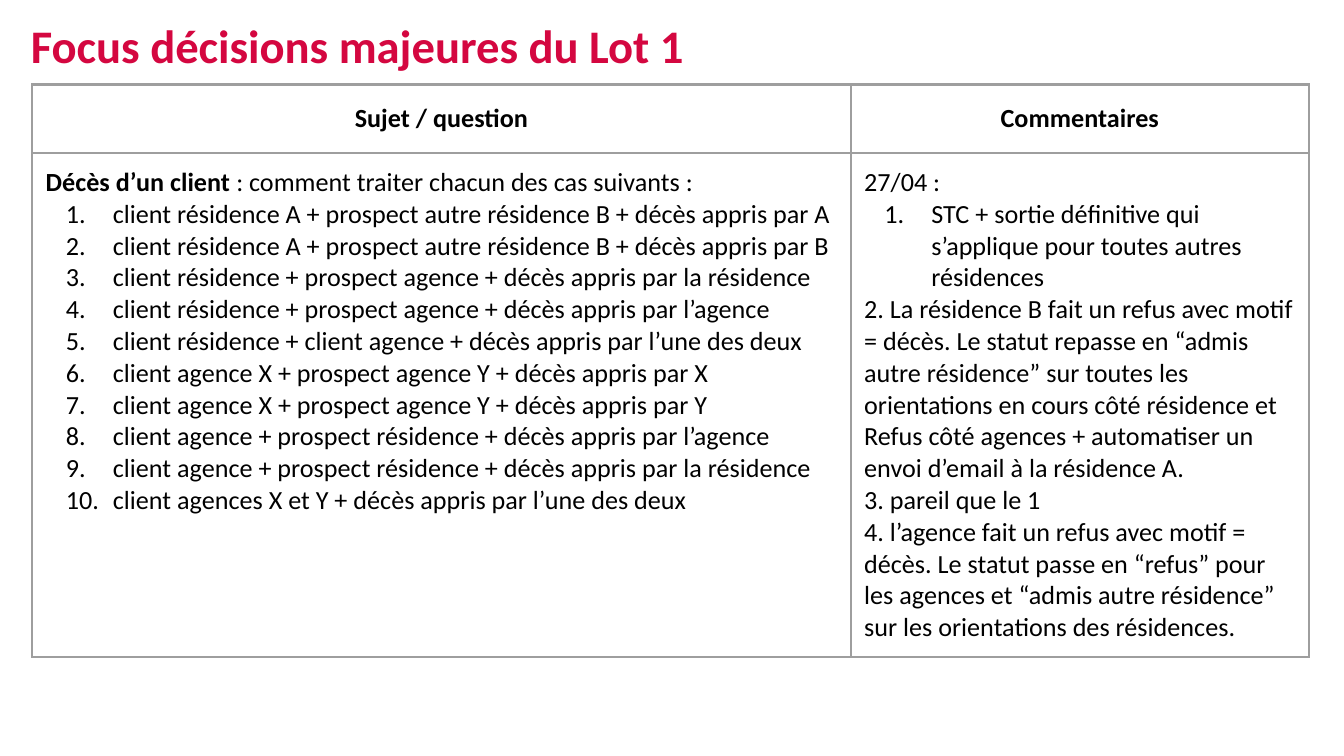
from dataclasses import dataclass
from typing import Any

from lxml.etree import SubElement as Sub
from pptx import Presentation
from pptx.dml.color import RGBColor as Color
from pptx.enum.text import MSO_ANCHOR as Anchor, MSO_AUTO_SIZE as Fit, PP_ALIGN as Align
from pptx.oxml import parse_xml
from pptx.oxml.ns import nsdecls, qn
from pptx.util import Inches, Pt


@dataclass(frozen=True)
class Theme:
    """Colours, font and type sizes of the slide."""
    face: str = "Calibri"
    red: str = "D40740"
    ink: str = "000000"
    rule: str = "9E9E9E"
    head: int = 25
    body: int = 14
    line: float = 1.5


@dataclass(frozen=True)
class Line:
    """One paragraph: a bold lead, plain text and an optional number."""
    text: str = ""
    lead: str = ""
    listed: bool = False


@dataclass(frozen=True)
class Column:
    """A table column with its header and body lines."""
    name: str
    width: float
    lines: tuple[Line, ...]


THEME = Theme()
WIDE = 10
PAD = ("margin_left", "margin_right", "margin_top", "margin_bottom")
HEIGHTS = (0.51, 3.75)
CASES = (
    "client résidence A + prospect autre résidence B + décès appris par A",
    "client résidence A + prospect autre résidence B + décès appris par B",
    "client résidence + prospect agence + décès appris par la résidence",
    "client résidence + prospect agence + décès appris par l’agence",
    "client résidence + client agence + décès appris par l’une des deux",
    "client agence X + prospect agence Y + décès appris par X",
    "client agence X + prospect agence Y + décès appris par Y",
    "client agence + prospect résidence + décès appris par l’agence",
    "client agence + prospect résidence + décès appris par la résidence",
    "client agences X et Y + décès appris par l’une des deux",
)
NOTES = (
    Line("27/04 :"),
    Line("STC + sortie définitive qui s’applique pour toutes autres résidences", listed=True),
    Line("2. La résidence B fait un refus avec motif = décès. Le statut repasse en "
         "“admis autre résidence” sur toutes les orientations en cours côté résidence "
         "et Refus côté agences + automatiser un envoi d’email à la résidence A."),
    Line("3. pareil que le 1"),
    Line("4. l’agence fait un refus avec motif = décès. Le statut passe en “refus” pour "
         "les agences et “admis autre résidence” sur les orientations des résidences."),
)
TOPIC = Line(": comment traiter chacun des cas suivants :", "Décès d’un client ")
COLUMNS = (
    Column("Sujet / question", 6.09, (TOPIC, *(Line(case, listed=True) for case in CASES))),
    Column("Commentaires", 3.41, NOTES),
)


def apply(item: Any, form: dict[str, Any]) -> None:
    """Set each attribute named in a format."""
    for key, value in form.items():
        setattr(item, key, value)


def write(para: Any, text: str, size: int, tint: str, bold: bool) -> None:
    """Add a styled run to a paragraph."""
    run = para.add_run()
    run.text = text
    apply(run.font, {"name": THEME.face, "size": Pt(size), "bold": bold})
    run.font.color.rgb = Color.from_string(tint)


def number(para: Any) -> None:
    """Give a paragraph a hanging automatic number."""
    props = para._p.get_or_add_pPr()
    props.set("marL", str(Inches(0.5)))
    props.set("indent", str(Inches(-0.35)))
    Sub(Sub(props, qn("a:buClr")), qn("a:srgbClr"), val=THEME.ink)
    Sub(props, qn("a:buFont"), typeface=THEME.face)
    Sub(props, qn("a:buAutoNum"), type="arabicPeriod")


def border(cell: Any) -> None:
    """Draw the four edges of a cell."""
    props = cell._tc.get_or_add_tcPr()
    for spot, side in enumerate("LRTB"):
        props.insert(spot, parse_xml(
            f'<a:ln{side} {nsdecls("a")} w="{Pt(THEME.line)}"><a:solidFill>'
            f'<a:srgbClr val="{THEME.rule}"/></a:solidFill></a:ln{side}>'))


def fill(cell: Any, lines: tuple[Line, ...], anchor: Anchor, align: Align) -> None:
    """Format a cell and write its lines."""
    apply(cell, {**dict.fromkeys(PAD, Inches(0.1)), "vertical_anchor": anchor})
    cell.fill.background()
    border(cell)
    frame = cell.text_frame
    for spot, line in enumerate(lines):
        para = frame.add_paragraph() if spot else frame.paragraphs[0]
        para.alignment = align
        if line.listed:
            number(para)
        for text, bold in ((line.lead, True), (line.text, False)):
            if text:
                write(para, text, THEME.body, THEME.ink, bold)


def title(shape: Any, text: str) -> None:
    """Place and write the slide title."""
    apply(shape, {"left": Inches(0.13), "top": Inches(0.01),
                  "width": Inches(9.15), "height": Inches(0.7)})
    frame = shape.text_frame
    apply(frame, {"word_wrap": True, "auto_size": Fit.NONE, "vertical_anchor": Anchor.MIDDLE,
                  **dict(zip(PAD, map(Inches, (0.1, 0.1, 0.05, 0.05))))})
    para = frame.paragraphs[0]
    apply(para, {"alignment": Align.LEFT, "line_spacing": 0.9})
    write(para, text, THEME.head, THEME.red, True)


def grid(slide: Any, cols: tuple[Column, ...]) -> None:
    """Build the table of topics and comments."""
    width = sum(col.width for col in cols)
    table = slide.shapes.add_table(len(HEIGHTS), len(cols), Inches(0.24), Inches(0.63),
                                   Inches(width), Inches(sum(HEIGHTS))).table
    apply(table, {"first_row": False, "horz_banding": False})
    for row, height in zip(table.rows, HEIGHTS):
        row.height = Inches(height)
    for spot, col in enumerate(cols):
        table.columns[spot].width = Inches(col.width)
        fill(table.cell(0, spot), (Line(lead=col.name),), Anchor.MIDDLE, Align.CENTER)
        fill(table.cell(1, spot), col.lines, Anchor.TOP, Align.LEFT)


def main() -> None:
    """Build and save the slide."""
    deck = Presentation()
    apply(deck, {"slide_width": Inches(WIDE), "slide_height": Inches(WIDE * 9 / 16)})
    slide = deck.slides.add_slide(deck.slide_layouts[5])
    title(slide.shapes.title, "Focus décisions majeures du Lot 1")
    grid(slide, COLUMNS)
    deck.save("out.pptx")


if __name__ == "__main__":
    main()
